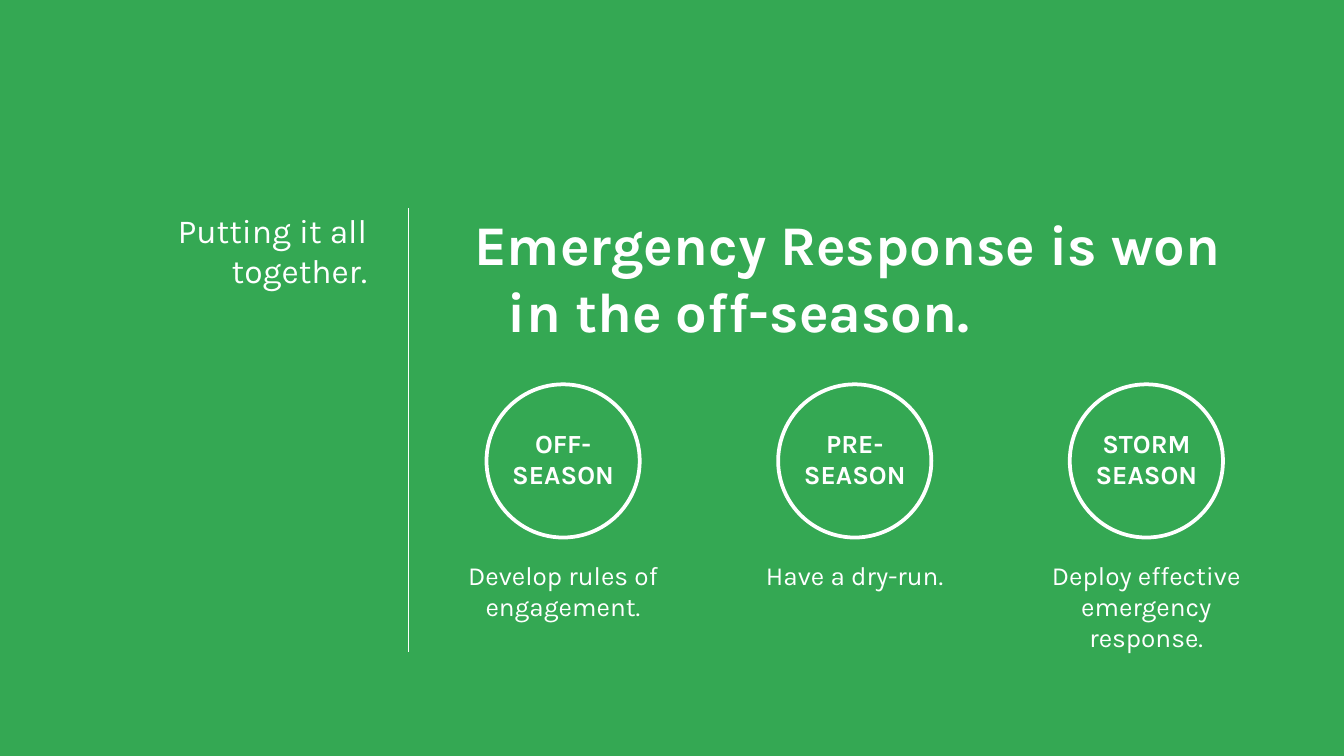
from pptx import Presentation
from pptx.dml.color import RGBColor
from pptx.enum.shapes import MSO_CONNECTOR, MSO_SHAPE
from pptx.enum.text import MSO_AUTO_SIZE, PP_ALIGN
from pptx.oxml.ns import qn
from pptx.util import Inches, Pt

GREEN = RGBColor(0x34, 0xA8, 0x53)
WHITE = RGBColor(0xFF, 0xFF, 0xFF)
LEFT, CENTER, RIGHT = PP_ALIGN.LEFT, PP_ALIGN.CENTER, PP_ALIGN.RIGHT
STRAIGHT = MSO_CONNECTOR.STRAIGHT
OVAL = MSO_SHAPE.OVAL
GROW = MSO_AUTO_SIZE.SHAPE_TO_FIT_TEXT

# Widescreen 16:9 slide
presentation = Presentation()
presentation.slide_width = Inches(10)
presentation.slide_height = Inches(10 * 9 / 16)
slide = presentation.slides.add_slide(presentation.slide_layouts[6])
slide.background.fill.solid()
slide.background.fill.fore_color.rgb = GREEN


def add_text(text, left, top, width, height, size=14, bold=False,
             align=CENTER, inset=0.05, hanging=False, grow=False):
    box = slide.shapes.add_textbox(Inches(left), Inches(top), Inches(width), Inches(height))
    frame = box.text_frame
    frame.word_wrap = True
    if grow:
        frame.auto_size = GROW
    frame.margin_left = frame.margin_right = Inches(0.1)
    frame.margin_top = frame.margin_bottom = Inches(inset)
    paragraph = frame.paragraphs[0]
    paragraph.alignment = align
    if hanging:
        properties = paragraph._p.get_or_add_pPr()
        properties.set("marL", str(Inches(0.5)))
        properties.set("indent", str(Inches(-0.25)))
    run = paragraph.add_run()
    run.text = text
    run.font.name = "Karla"
    run.font.size = Pt(size)
    run.font.bold = bold
    run.font.color.rgb = WHITE


# Vertical divider
divider = slide.shapes.add_connector(STRAIGHT, Inches(3.04), Inches(1.55), Inches(3.04), Inches(4.85))
divider.line.color.rgb = WHITE
divider.line.width = Pt(0.75)
divider_properties = divider._element.spPr
divider_properties.append(divider_properties.makeelement(qn("a:effectLst"), {}))

# Side note and headline
add_text("Putting it all together.", 0.62, 1.46, 2.21, 2.13,
         size=18, align=RIGHT, inset=0.1, hanging=True)
add_text("Emergency Response is won in the off-season.", 3.18, 1.46, 6.06, 1.16,
         size=30, bold=True, align=LEFT, inset=0.1, hanging=True)

# Seasons: circle, label and action, centred on evenly spaced columns
seasons = [
    ("OFF- SEASON", "Develop rules of engagement.", 0.57),
    ("PRE- SEASON", "Have a dry-run.", 0.34),
    ("STORM SEASON", "Deploy effective emergency response.", 0.81),
]
DIAMETER, LABEL_WIDTH, ACTION_WIDTH = 1.14, 1.19, 1.76
for index, (label, action, action_height) in enumerate(seasons):
    center = 4.19 + index * 2.17
    circle = slide.shapes.add_shape(OVAL, Inches(center - DIAMETER / 2), Inches(2.86),
                                    Inches(DIAMETER), Inches(DIAMETER))
    circle.shadow.inherit = False
    circle.fill.background()
    circle.line.color.rgb = WHITE
    circle.line.width = Pt(2)
    add_text(label, center - LABEL_WIDTH / 2, 3.13, LABEL_WIDTH, 0.57, bold=True, grow=True)
    add_text(action, center - ACTION_WIDTH / 2, 4.11, ACTION_WIDTH, action_height, grow=True)

presentation.save("out.pptx")
